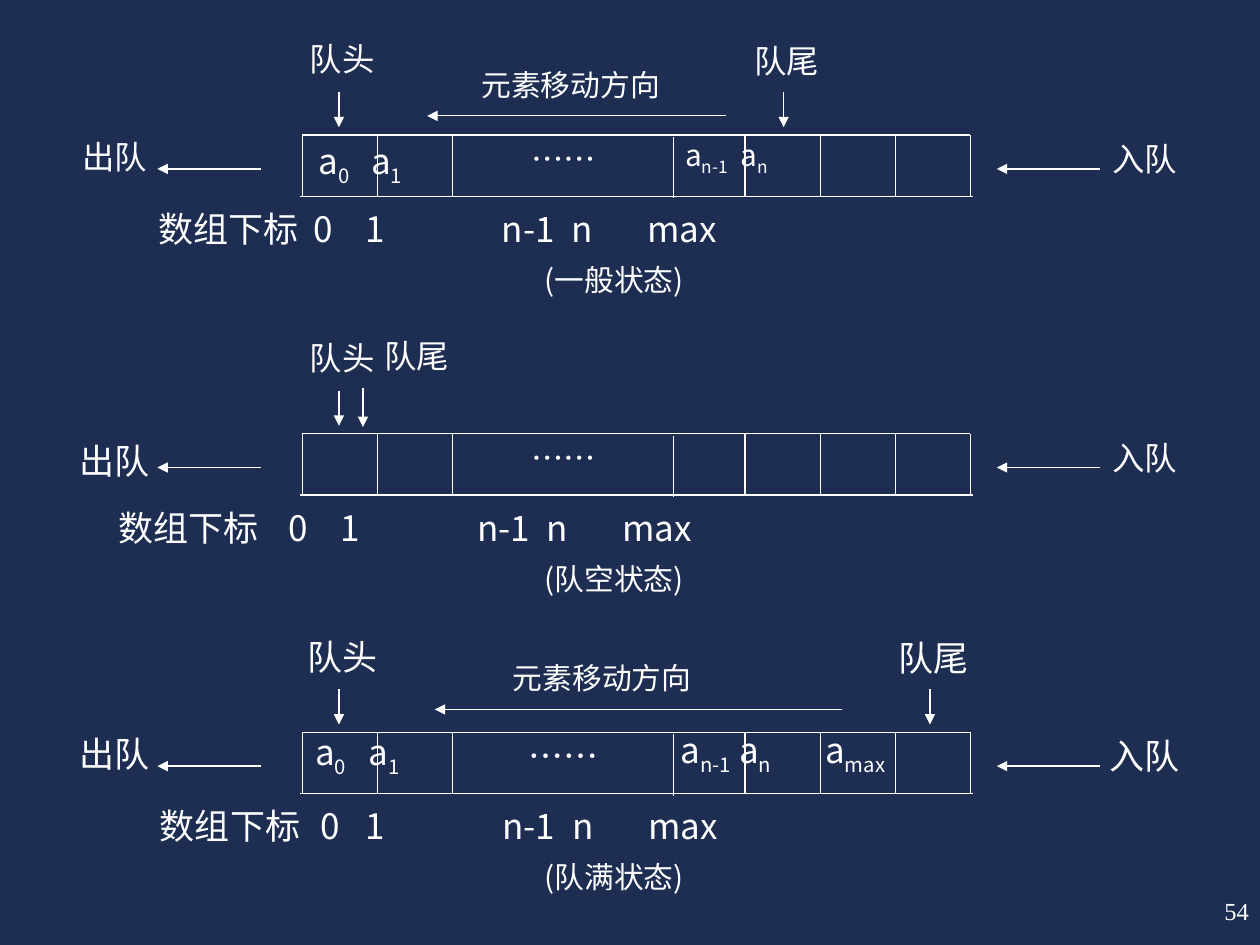
from lxml import etree
from pptx import Presentation
from pptx.dml.color import RGBColor
from pptx.enum import shapes, text
from pptx.oxml import ns
from pptx.util import Pt

THEME = dict(
    back=RGBColor(0x1E, 0x2E, 0x53), ink=RGBColor(255, 255, 255),
    font="Noto Sans CJK SC", digits="Times New Roman",
    large=20, label=18.5, small=17, page=14, line=0.75,
)
INK, LARGE, LABEL, SMALL = (THEME[k] for k in ("ink", "large", "label", "small"))
INSET, FLUSH = (7.2, 3.6), (0, 0)
LEFT, MID, RIGHT = (text.PP_ALIGN.JUSTIFY, text.PP_ALIGN.CENTER,
                    text.PP_ALIGN.RIGHT)

# Cell text alternates base and subscript parts, split at "|".
# Each cell entry: text, left, top, width, size, tab stops.
# tail: label left, label top, arrow x, arrow top, arrow end.
PANELS = [
    dict(caption="(一般状态)", size=LABEL, out=LABEL, inset=INSET,
         tail=(408.2, 22.3, 447.8, 52.6, 72.7),
         index=(90.7, [88.5, 118, 196, 236, 279]),
         cells=[("a|0|\ta|1", 175, 76.3, 125.3, LARGE, [30]),
                ("a|n-1|\ta|n", 384.5, 74.9, 168.5, SMALL, [31.5])],
         move=(275, 40.3, 414.7, 244.1, 66.2)),
    dict(caption="(队空状态)", size=LABEL, out=LARGE, inset=INSET,
         tail=(196.6, 20.2, 207.4, 51.1, 73.4),
         index=(67.7, [97, 127, 205, 244.5, 288]),
         cells=[], move=None),
    dict(caption="(队满状态)", size=LARGE, out=LARGE, inset=FLUSH,
         tail=(491.8, 22.3, 531.4, 52.6, 72.7),
         index=(91.4, [92, 117.5, 195.5, 235.5, 279]),
         cells=[(" a|0|\ta|1", 175.7, 76.3, 125.3, LARGE, [35]),
                (" a|n-1| a|n|\ta|max", 384.5, 74.9, 221, LARGE, [87])],
         move=(293, 38.2, 481, 248.4, 64.1)),
]
INDEX = "数组下标\t0\t1\tn-1\tn\tmax"
PITCH = 170.65
TOP, BASE = 77.2, 112.2
WALLS = [172.8, 215.8, 258.7, 384.8, 425.7, 468.7, 511.7, 554.4]
DROP = 384.8    # this wall sits slightly lower than the others


def add_line(parent, x1, y1, x2, y2, arrow=False):
    line = parent.add_connector(shapes.MSO_CONNECTOR.STRAIGHT,
                                Pt(x1), Pt(y1), Pt(x2), Pt(y2))
    line.line.color.rgb = INK
    line.line.width = Pt(THEME["line"])
    props = line._element.spPr
    if arrow:
        etree.SubElement(props.find(ns.qn("a:ln")), ns.qn("a:tailEnd"),
                         type="triangle")
    etree.SubElement(props, ns.qn("a:effectLst"))


def add_text(parent, words, box, size, align=MID, inset=FLUSH, tabs=(),
             font=THEME["font"]):
    """Add a text box; every second part between bars is a subscript."""
    frame = parent.add_textbox(*map(Pt, box)).text_frame
    frame.word_wrap = True
    frame.margin_left = frame.margin_right = Pt(inset[0])
    frame.margin_top = frame.margin_bottom = Pt(inset[1])
    para = frame.paragraphs[0]
    para.alignment = align
    para.line_spacing = 0.9 if THEME["page"] < size < LARGE else 1.0
    if tabs:
        stops = etree.SubElement(para._p.get_or_add_pPr(), ns.qn("a:tabLst"))
        for pos in tabs:
            etree.SubElement(stops, ns.qn("a:tab"), pos=str(int(Pt(pos))),
                             algn="l")
    for i, part in enumerate(words.split("|")):
        run = para.add_run()
        run.text = part
        run.font.size = Pt(size)
        run.font.color.rgb = INK
        run.font.name = font
        props = run._r.get_or_add_rPr()
        etree.SubElement(props, ns.qn("a:ea"), typeface=font)
        if i % 2:
            props.set("baseline", "-25000")


def add_panel(parent, panel, y):
    add_line(parent, WALLS[0], y + TOP, WALLS[-1], y + TOP)
    add_line(parent, WALLS[0] - 1.4, y + BASE, WALLS[-1] + 1.4, y + BASE)
    for x in WALLS:
        shift = 1.2 if x == DROP else 0
        add_line(parent, x, y + TOP + shift, x, y + BASE + shift)

    left, top, tip, start, end = panel["tail"]
    size = panel["size"]
    labels = [("……", 280.8, 78.5, size), ("队头", 154.1, 21.6, size),
              ("队尾", left, top, size), ("入队", 612.7, 78.5, size),
              ("出队", 24, 77.2, panel["out"])]
    for words, x, dy, pts in labels:
        add_text(parent, words, (x, y + dy, 82.8, 31), pts,
                 inset=panel["inset"])
    for words, x, dy, wide, pts, tabs in panel["cells"]:
        add_text(parent, words, (x, y + dy, wide, 34), pts, LEFT,
                 panel["inset"], tabs)

    add_line(parent, 193.7, y + 52.6, 193.7, y + 72.7, True)
    add_line(parent, tip, y + start, tip, y + end, True)
    for x in (149, 628.6):
        add_line(parent, x, y + 96.5, x - 59, y + 96.5, True)

    x, tabs = panel["index"]
    add_text(parent, INDEX, (x, y + 118.6, 550, 31), LARGE, LEFT, tabs=tabs)
    add_text(parent, panel["caption"], (303.1, y + 151.9, 95.8, 26), SMALL)
    if panel["move"]:
        x, dy, start, end, level = panel["move"]
        add_line(parent, start, y + level, end, y + level, True)
        add_text(parent, "元素移动方向", (x, y + dy, 135.4, 21), SMALL, LEFT)


def main():
    deck = Presentation()
    deck.slide_width, deck.slide_height = Pt(720), Pt(540)
    slide = deck.slides.add_slide(deck.slide_layouts[6])
    slide.background.fill.solid()
    slide.background.fill.fore_color.rgb = THEME["back"]
    for i, panel in enumerate(PANELS):
        add_panel(slide.shapes.add_group_shape().shapes, panel, i * PITCH)
    add_text(slide.shapes, "54", (681.1, 508.3, 39.6, 24.5), THEME["page"],
             RIGHT, INSET, font=THEME["digits"])
    deck.save("out.pptx")


if __name__ == "__main__":
    main()
